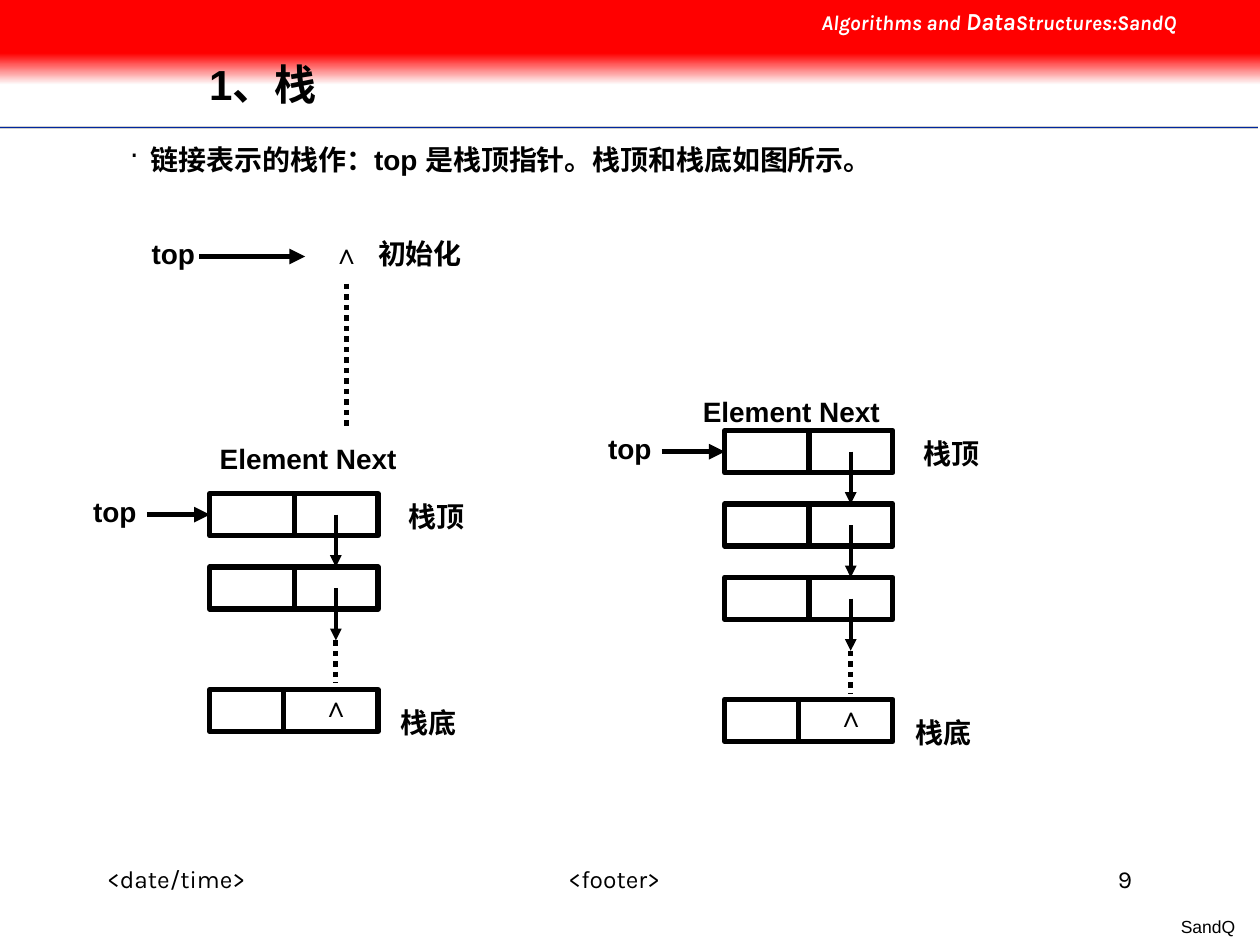
from lxml import etree
from pptx import Presentation
from pptx import util as u
from pptx.dml.color import RGBColor
from pptx.enum import dml, shapes, text
from pptx.oxml import ns

COLORS = {"black": "000000", "white": "FFFFFF", "red": "FF0000", "fade": "FEFEFE",
          "blue": "00279F", "gray": "CECECE"}
ALIGN = text.PP_ALIGN

# Stack node geometry, in cm
NODE_W, NODE_H, PITCH = 3.39, 0.85, 1.48
POINTER_X = 2.54


def rgb(name):
    return RGBColor.from_string(COLORS[name])


def style_font(font, size, color="black", bold=True, face="Arial"):
    font.name, font.size, font.bold = face, u.Pt(size), bold
    font.color.rgb = rgb(color)


def add_label(slide, words, left, top, width, height=0.94, size=16,
              align=ALIGN.LEFT, wrap=True, **font):
    box = slide.shapes.add_textbox(u.Cm(left), u.Cm(top), u.Cm(width), u.Cm(height))
    box.text_frame.word_wrap = wrap
    paragraph = box.text_frame.paragraphs[0]
    paragraph.text = words
    paragraph.alignment = align
    style_font(paragraph.font, size, **font)
    return box.text_frame


def add_line(slide, x1, y1, x2, y2, width=3, color="black", arrow=False, dotted=False):
    line = slide.shapes.add_connector(
        shapes.MSO_CONNECTOR.STRAIGHT, u.Cm(x1), u.Cm(y1), u.Cm(x2), u.Cm(y2))
    line.line.width = u.Pt(width)
    line.line.color.rgb = rgb(color)
    if dotted:
        line.line.dash_style = dml.MSO_LINE.ROUND_DOT
    properties = line._element.spPr
    if arrow:
        outline = properties.find(ns.qn("a:ln"))
        etree.SubElement(outline, ns.qn("a:tailEnd"), type="triangle")
    etree.SubElement(properties, ns.qn("a:effectLst"))


def add_rect(slide, left, top, width, height):
    rect = slide.shapes.add_shape(
        shapes.MSO_SHAPE.RECTANGLE, u.Cm(left), u.Cm(top), u.Cm(width), u.Cm(height))
    rect.shadow.inherit = False
    rect.line.fill.background()
    return rect


def add_node(slide, left, top, divider):
    node = add_rect(slide, left, top, NODE_W, NODE_H)
    node.fill.solid()
    node.fill.fore_color.rgb = rgb("white")
    node.line.color.rgb = rgb("black")
    node.line.width = u.Pt(3)
    add_line(slide, left + divider, top, left + divider, top + NODE_H)


def add_stack(slide, left, top, linked, bottom, heading_left, heading_top):
    pointer = left + POINTER_X
    tops = [top + row * PITCH for row in range(linked)]
    for node_top in tops:
        add_node(slide, left, node_top, 1.7)
    add_node(slide, left, bottom, 1.48)

    # Links from each node to the next, then the omitted nodes
    for node_top in tops:
        add_line(slide, pointer, node_top + NODE_H / 2, pointer, node_top + PITCH,
                 width=2.25, arrow=True)
    chain_end = tops[-1] + PITCH
    add_line(slide, pointer, chain_end, pointer, chain_end + 0.85, dotted=True)
    add_label(slide, "∧", left + 1.91, bottom - 0.13, 1.27, align=ALIGN.CENTER)

    # Top pointer and captions
    add_line(slide, left - 1.27, top + NODE_H / 2, left, top + NODE_H / 2, arrow=True)
    add_label(slide, "top", left - 2.76, top - 0.1, 1.69, align=ALIGN.CENTER)
    add_label(slide, "Element Next", heading_left, heading_top, 4.45)
    add_label(slide, "栈顶", left + 3.76, top, 3.6)
    add_label(slide, "栈底", left + 3.6, bottom + 0.2, 3.6)


def add_banner(slide):
    fade = add_rect(slide, 0, 1.07, 25.4, 0.64)
    fade.fill.gradient()
    fade.fill.gradient_angle = 270
    for stop, color in zip(fade.fill.gradient_stops, ("red", "fade")):
        stop.color.rgb = rgb(color)
    band = add_rect(slide, 0, 0, 25.4, 1.07)
    band.fill.solid()
    band.fill.fore_color.rgb = rgb("red")

    course = add_label(slide, "Algorithms and ", 16.31, 0, 9.09, 0.86, 12,
                       color="white", face="Karla").paragraphs[0]
    course.font.italic = True
    for words, size in (("Data", 14), ("Structures:SandQ", 12)):
        run = course.add_run()
        run.text = words
        run.font.size = u.Pt(size)

    for y, width, color in ((2.57, 2, "gray"), (2.57, 1, "blue"), (2.62, 1, "white")):
        add_line(slide, 0, y, 25.35, y, width, color)


def add_footer(slide):
    for words, left, width, align in (("<date/time>", 1.91, 4.87, ALIGN.LEFT),
                                      ("<footer>", 8.68, 7.41, ALIGN.CENTER),
                                      ("9", 18.2, 4.87, ALIGN.RIGHT)):
        add_label(slide, words, left, 17.3, width, 1.27, 14, align, bold=False, face="Karla")
    add_label(slide, "SandQ", 23.55, 18.34, 1.6, 0.69, 10, ALIGN.RIGHT, wrap=False, bold=False)


def set_title(slide, words):
    title = slide.shapes.title
    title.left, title.top, title.width, title.height = map(u.Cm, (3.96, 0.81, 19.18, 1.88))
    frame = title.text_frame
    frame.text = words
    frame.auto_size = text.MSO_AUTO_SIZE.NONE
    frame.vertical_anchor = text.MSO_ANCHOR.MIDDLE
    paragraph = frame.paragraphs[0]
    paragraph.alignment = ALIGN.LEFT
    paragraph.line_spacing = 0.9
    style_font(paragraph.font, 24)
    # Keep the title in front of the banner
    slide.shapes._spTree.append(title._element)


def add_bullet(slide, words):
    frame = add_label(slide, "", 0, 2.74, 24.33)
    frame.margin_left = u.Cm(2.62)
    paragraph = frame.paragraphs[0]
    properties = paragraph._p.get_or_add_pPr()
    properties.set("marL", str(u.Cm(0.42)))
    properties.set("indent", str(-u.Cm(0.42)))
    bullet = etree.Element(ns.qn("a:buChar"), char="·")
    properties.insert(0, bullet)
    paragraph.text = words
    style_font(paragraph.font, 16)


def main():
    deck = Presentation()
    deck.slide_width, deck.slide_height = u.Cm(25.4), u.Cm(19.05)
    slide = deck.slides.add_slide(deck.slide_layouts[5])

    add_banner(slide)
    add_footer(slide)
    set_title(slide, "1、栈")
    add_bullet(slide, "链接表示的栈作：top 是栈顶指针。栈顶和栈底如图所示。")

    # Empty stack after initialisation, growing into the filled one
    add_label(slide, "top", 2.33, 4.65, 2.33, align=ALIGN.CENTER)
    add_line(slide, 4.02, 5.17, 6.15, 5.17, arrow=True)
    add_label(slide, "∧", 6.35, 4.65, 1.27, align=ALIGN.CENTER)
    add_label(slide, "初始化", 6.56, 4.65, 3.81, align=ALIGN.CENTER)
    add_line(slide, 6.99, 5.72, 6.99, 8.68, dotted=True)

    # Stack before and after a push
    add_stack(slide, 4.23, 9.95, 2, 13.9, heading_left=4.18, heading_top=8.77)
    add_stack(slide, 14.61, 8.68, 3, 14.1, heading_left=13.92, heading_top=7.83)

    deck.save("out.pptx")


if __name__ == "__main__":
    main()
